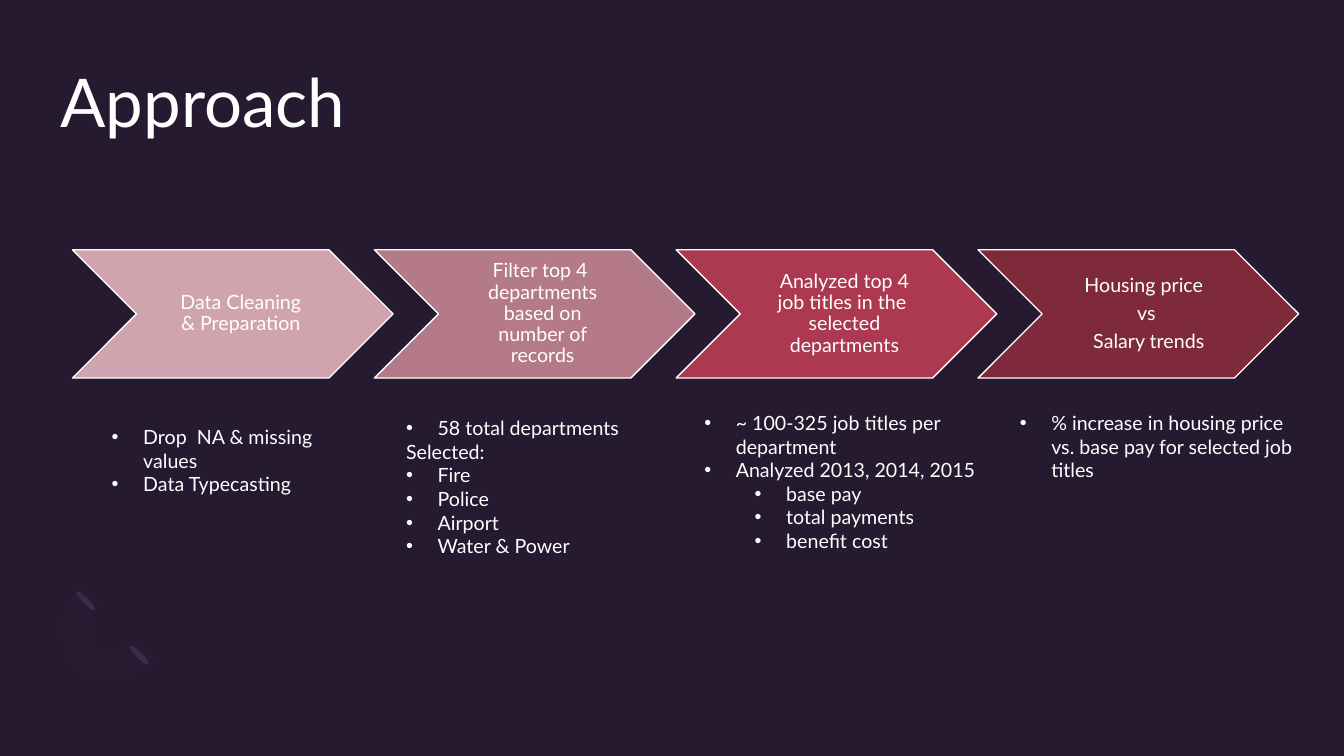
from lxml import etree
from pptx import Presentation
from pptx.dml.color import RGBColor
from pptx.enum.shapes import MSO_SHAPE
from pptx.enum.text import MSO_ANCHOR, MSO_AUTO_SIZE, PP_ALIGN
from pptx.oxml.ns import qn
from pptx.util import Pt

CHEVRON, OVAL, ARC = MSO_SHAPE.CHEVRON, MSO_SHAPE.OVAL, MSO_SHAPE.BLOCK_ARC
TOP, MIDDLE = MSO_ANCHOR.TOP, MSO_ANCHOR.MIDDLE
COLORS = {
    "background": "251A2F", "text": "FFFFFF", "oval": "3B2A4B", "arc": "9372B1",
    "clean": "E7B8C1", "filter": "DB94A2", "analyze": "AC3950", "trends": "7F2A3A",
}
BODY_SIZE = 14
BULLET_INDENT, LEVEL_INDENT = 22.5, 36


def add_filled_shape(kind, left, top, width, height, color, opacity=100):
    shape = page.shapes.add_shape(kind, Pt(left), Pt(top), Pt(width), Pt(height))
    shape.shadow.inherit = False
    shape.fill.solid()
    shape.fill.fore_color.rgb = RGBColor.from_string(COLORS[color])
    shape.line.fill.background()
    if opacity < 100:
        rgb = shape._element.spPr.find(qn("a:solidFill")).find(qn("a:srgbClr"))
        etree.SubElement(rgb, qn("a:alpha"), val=str(opacity * 1000))
    return shape


def set_font(para, size):
    para.font.name = "Lato"
    para.font.size = Pt(size)
    para.font.color.rgb = RGBColor.from_string(COLORS["text"])


deck = Presentation()
deck.slide_width, deck.slide_height = Pt(960), Pt(540)
page = deck.slides.add_slide(deck.slide_layouts[5])
page.background.fill.solid()
page.background.fill.fore_color.rgb = RGBColor.from_string(COLORS["background"])

# Corner ornament
arc = add_filled_shape(ARC, 47.5, 403.2, 72.8, 83.6, "arc", 2)
arc.rotation = 225
for left, top in ((97.2, 458.6), (59, 419.8)):
    oval = add_filled_shape(OVAL, left, top, 4.4, 18.7, "oval")
    oval.rotation = 135

# Title
title = page.shapes.title
title.left, title.top, title.width, title.height = Pt(43.2), Pt(43.2), Pt(873.4), Pt(105)
frame = title.text_frame
frame.text = "Approach"
title_format = {
    "margin_left": 0, "margin_right": 0, "margin_top": 0, "margin_bottom": 0,
    "vertical_anchor": TOP, "auto_size": MSO_AUTO_SIZE.NONE, "word_wrap": True,
}
for name, value in title_format.items():
    setattr(frame, name, value)
frame.paragraphs[0].alignment = PP_ALIGN.LEFT
set_font(frame.paragraphs[0], 48)

# Process chevrons
steps = [
    ("clean", 88, ["Data Cleaning & Preparation"]),
    ("filter", 79, ["Filter top 4  departments based on number of records"]),
    ("analyze", 100, ["Analyzed top 4 job titles in the  selected departments"]),
    ("trends", 100, ["Housing price ", "vs", " Salary trends"]),
]
chevron_format = {
    "margin_left": Pt(24.7), "margin_right": Pt(13.2),
    "margin_top": Pt(6), "margin_bottom": Pt(6),
    "vertical_anchor": MIDDLE, "word_wrap": True,
}
for index, (color, opacity, lines) in enumerate(steps):
    chevron = add_filled_shape(CHEVRON, 51.8 + 215.6 * index, 178.4, 229, 91.6,
                               color, opacity)
    chevron.line.color.rgb = RGBColor.from_string(COLORS["text"])
    chevron.line.width = Pt(1)
    frame = chevron.text_frame
    for name, value in chevron_format.items():
        setattr(frame, name, value)
    frame.text = "\n".join(lines)
    for para in frame.paragraphs:
        para.alignment = PP_ALIGN.CENTER
        para.line_spacing = 0.9
        para.space_after = Pt(4.9)
        set_font(para, BODY_SIZE)

# Details under each chevron; level None marks a line without a bullet
details = [
    (72.7, 300.2, 198, 58.3, [(0, "Drop  NA & missing values"), (0, "Data Typecasting")]),
    (283, 293.8, 213, 108.7, [
        (0, "58 total departments"), (None, "Selected:"), (0, "Fire"),
        (0, "Police"), (0, "Airport"), (0, "Water & Power")]),
    (496, 290.2, 213, 126, [
        (0, "~ 100-325 job titles per department"), (0, "Analyzed 2013, 2014, 2015"),
        (1, "base pay"), (1, "total payments"), (1, "benefit cost")]),
    (721.4, 290.2, 213, 58.3, [
        (0, "% increase in housing price vs. base pay for selected job titles")]),
]
for left, top, width, height, lines in details:
    box = page.shapes.add_textbox(Pt(left), Pt(top), Pt(width), Pt(height))
    frame = box.text_frame
    frame.word_wrap = True
    frame.auto_size = MSO_AUTO_SIZE.SHAPE_TO_FIT_TEXT
    frame.text = "\n".join(text for level, text in lines)
    for para, (level, text) in zip(frame.paragraphs, lines):
        if level is not None:
            para.level = level
            props = para._p.get_or_add_pPr()
            props.set("marL", str(Pt(BULLET_INDENT + LEVEL_INDENT * level)))
            props.set("indent", str(-Pt(BULLET_INDENT)))
            etree.SubElement(props, qn("a:buFont"), typeface="Arial")
            etree.SubElement(props, qn("a:buChar"), char="•")
        set_font(para, BODY_SIZE)

deck.save("out.pptx")
